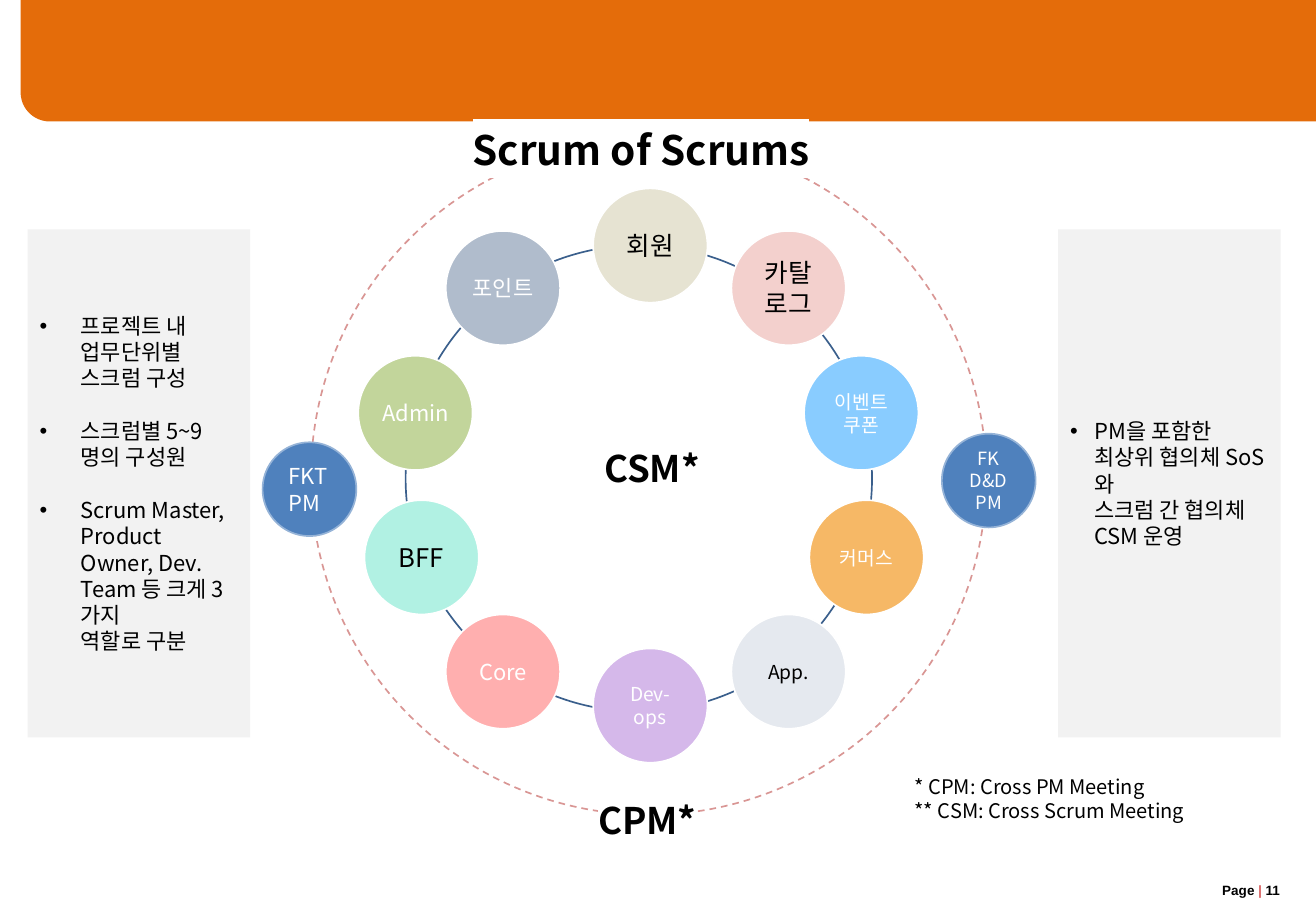
from lxml.etree import SubElement
from pptx import Presentation
from pptx.dml.color import RGBColor
from pptx.enum.dml import MSO_LINE
from pptx.enum.shapes import MSO_SHAPE as Shape
from pptx.enum.text import MSO_ANCHOR as Anchor, PP_ALIGN as Align
from pptx.oxml.ns import qn
from pptx.util import Cm, Pt

FONT = "Noto Sans CJK KR"
COLORS = {
    "banner": "E46C0A", "panel": "F2F2F2", "white": "FFFFFF", "black": "000000",
    "outer": "D99694", "inner": "3A5F8C", "pm": "4F81BD", "pm_line": "95B3D7",
    "bar": "C00000", "gray": "B0BCCC", "green": "C2D59B", "sky": "89CCFF",
    "pink": "FFAFAF", "mint": "B1F1E3", "orange": "F6B866", "rose": "F3D0CD",
    "mist": "E5E9EF", "violet": "D5B8EA", "sand": "E6E3D2",
}
RINGS = [(6.5, 2.92, 14.12, "outer"), (8.48, 5.13, 9.75, "inner")]
PMS = [
    ("FKT PM", 5.49, 9.25, 13, Align.LEFT),
    ("FK D&D PM", 19.69, 9.07, 10.8, Align.CENTER),
]
WIDE, NARROW = 0.25, 0.1
TEAMS = [
    ("회원", 12.4, 3.94, "sand", "black", 15.2, WIDE),
    ("카탈로그", 15.29, 4.83, "rose", "black", 15.2, WIDE),
    ("이벤트\n쿠폰", 16.81, 7.44, "sky", "white", 11.4, NARROW),
    ("커머스", 16.92, 10.46, "orange", "white", 11.4, NARROW),
    ("App.", 15.29, 12.85, "mist", "black", 11.4, WIDE),
    ("Dev-ops", 12.4, 13.56, "violet", "white", 11.4, WIDE),
    ("Core", 9.32, 12.85, "pink", "white", 13, WIDE),
    ("BFF", 7.62, 10.46, "mint", "black", 15.2, WIDE),
    ("Admin", 7.49, 7.44, "green", "white", 13, NARROW),
    ("포인트", 9.32, 4.83, "gray", "white", 13, NARROW),
]
PANELS = [
    (0.58, 0.86, [
        "프로젝트 내\n업무단위별\n스크럼 구성",
        "스크럼별 5~9명의 구성원",
        "Scrum Master, Product Owner, Dev. Team 등 크게 3가지\n역할로 구분",
    ]),
    (22.12, 0.51, ["PM을 포함한\n최상위 협의체 SoS와\n스크럼 간 협의체 CSM 운영"]),
]
MEETINGS = [("CSM*", 10.67, 8.33), ("CPM*", 10.57, 15.7)]
TITLE = "Scrum of Scrums"
FOOTNOTE = "* CPM: Cross PM Meeting\n** CSM: Cross Scrum Meeting"
PAGE = [("Page ", "black", True), ("| ", "bar", False), ("11", "black", True)]
PM_SIZE, TEAM_SIZE = 1.96, 2.39
LINE_RATIO = 1.2


def rgb(name):
    return RGBColor.from_string(COLORS[name])


def add_shape(kind, x, y, w, h, fill=None, line=None):
    s = slide.shapes.add_shape(kind, Cm(x), Cm(y), Cm(w), Cm(h))
    s.shadow.inherit = False
    if fill:
        s.fill.solid()
        s.fill.fore_color.rgb = rgb(fill)
    else:
        s.fill.background()
    if line:
        s.line.color.rgb = rgb(line)
        s.line.width = Pt(1)
    else:
        s.line.fill.background()
    return s


def add_textbox(x, y, w, h):
    return slide.shapes.add_textbox(Cm(x), Cm(y), Cm(w), Cm(h))


def style_run(r, size, color, bold=False, font=FONT, highlight=False):
    r.font.size = Pt(size)
    r.font.bold = bold
    r.font.name = font
    r.font.color.rgb = rgb(color)
    rPr = r.font._element
    latin = rPr.find(qn("a:latin"))
    ea = SubElement(rPr, qn("a:ea"), typeface=font)
    latin.addnext(ea)
    if highlight:
        mark = SubElement(rPr, qn("a:highlight"))
        SubElement(mark, qn("a:srgbClr"), val=COLORS["white"])
        rPr.find(qn("a:solidFill")).addnext(mark)


def write(s, paragraphs, size, color, align=Align.LEFT, inset=WIDE,
          indent=0, ratio=LINE_RATIO, bold=False, highlight=False):
    tf = s.text_frame
    tf.word_wrap = True
    tf.vertical_anchor = Anchor.MIDDLE
    tf.margin_left = tf.margin_right = Cm(inset)
    for i, text in enumerate(paragraphs):
        p = tf.add_paragraph() if i else tf.paragraphs[0]
        p.text = text
        p.alignment = align
        if ratio:
            p.line_spacing = Pt(round(size * ratio, 1))
        if i:
            p.space_before = Pt(round(size * LINE_RATIO, 1))
        if indent:
            pPr = p._p.get_or_add_pPr()
            pPr.set("marL", str(Cm(indent)))
            pPr.set("indent", str(-Cm(indent)))
            SubElement(pPr, qn("a:buFont"), typeface="Arial")
            SubElement(pPr, qn("a:buChar"), char="•")
        for r in p.runs:
            style_run(r, size, color, bold, highlight=highlight)


prs = Presentation()
prs.slide_width, prs.slide_height = Cm(27.51), Cm(19.05)
slide = prs.slides.add_slide(prs.slide_layouts[6])

banner = add_shape(Shape.ROUND_1_RECTANGLE, 0.43, 0, 27.08, 2.54, "banner")
banner.adjustments[0] = 0.24
banner.rotation = 180

for x, y, size, line in RINGS:
    ring = add_shape(Shape.OVAL, x, y, size, size, line=line)
    if line == "outer":
        ring.line.dash_style = MSO_LINE.DASH

for text, x, y, size, align in PMS:
    s = add_shape(Shape.OVAL, x, y, PM_SIZE, PM_SIZE, "pm", "pm_line")
    write(s, [text], size, "white", align)

for text, x, y, fill, color, size, inset in TEAMS:
    s = add_shape(Shape.OVAL, x, y, TEAM_SIZE, TEAM_SIZE, fill, "white")
    write(s, [text], size, color, Align.CENTER, inset)

for x, indent, paragraphs in PANELS:
    s = add_shape(Shape.RECTANGLE, x, 4.8, 4.65, 10.62, "panel")
    write(s, paragraphs, 13, "black", indent=indent)

for text, x, y in MEETINGS:
    s = add_shape(Shape.DIAMOND, x, y, 5.92, 2.9)
    write(s, [text], 21.7, "black", Align.CENTER, bold=True, highlight=True)

write(add_textbox(18.87, 16.13, 6.48, 1.14), [FOOTNOTE], 11.9, "black")
write(add_textbox(9.63, 2.51, 8.28, 1.24), [TITLE], 24, "black",
      ratio=None, bold=True, highlight=True)

page = add_textbox(25.3, 18.26, 2.16, 0.69)
page.text_frame.vertical_anchor = Anchor.MIDDLE
for text, color, bold in PAGE:
    r = page.text_frame.paragraphs[0].add_run()
    r.text = text
    style_run(r, 8, color, bold, "Arial")

prs.save("out.pptx")
